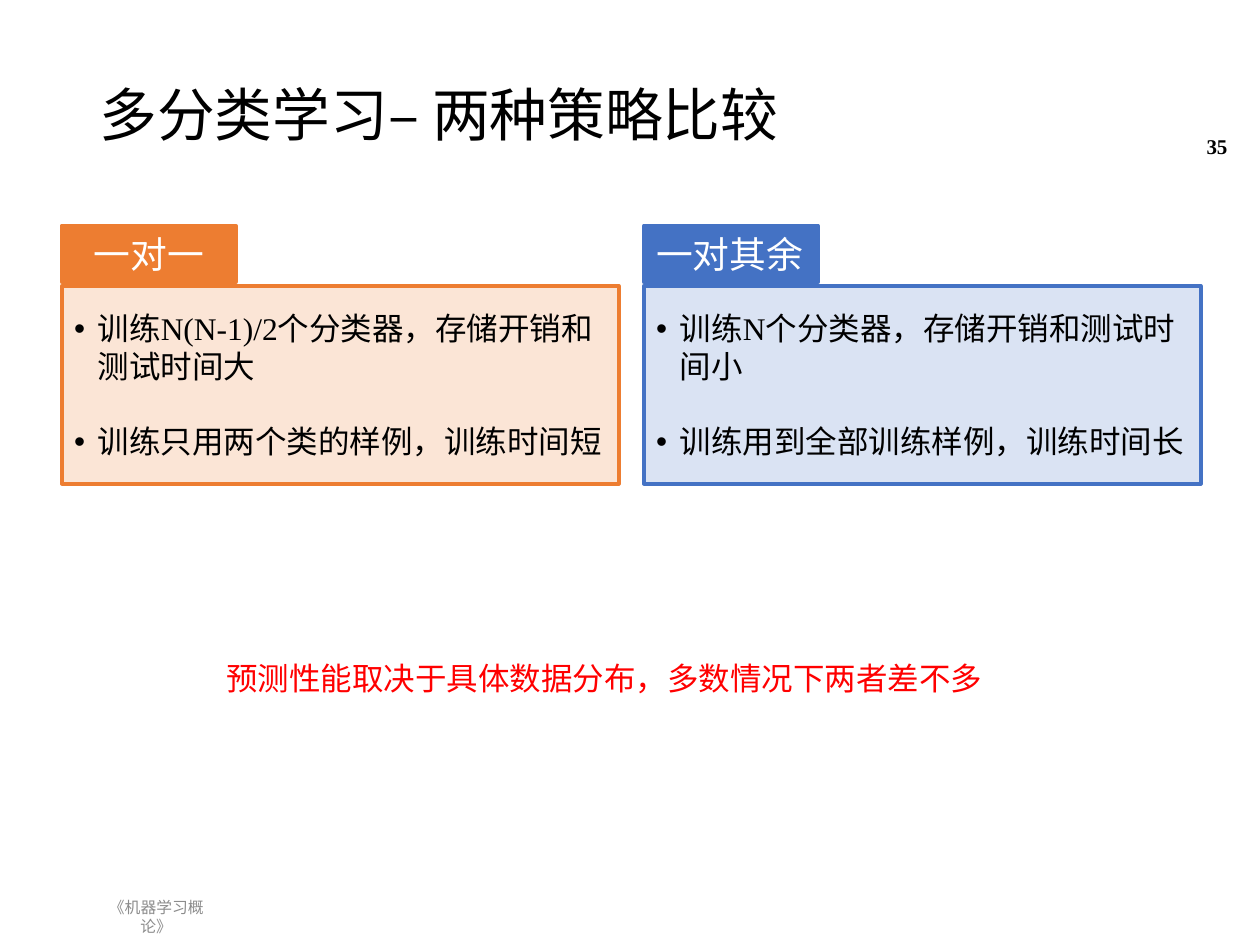
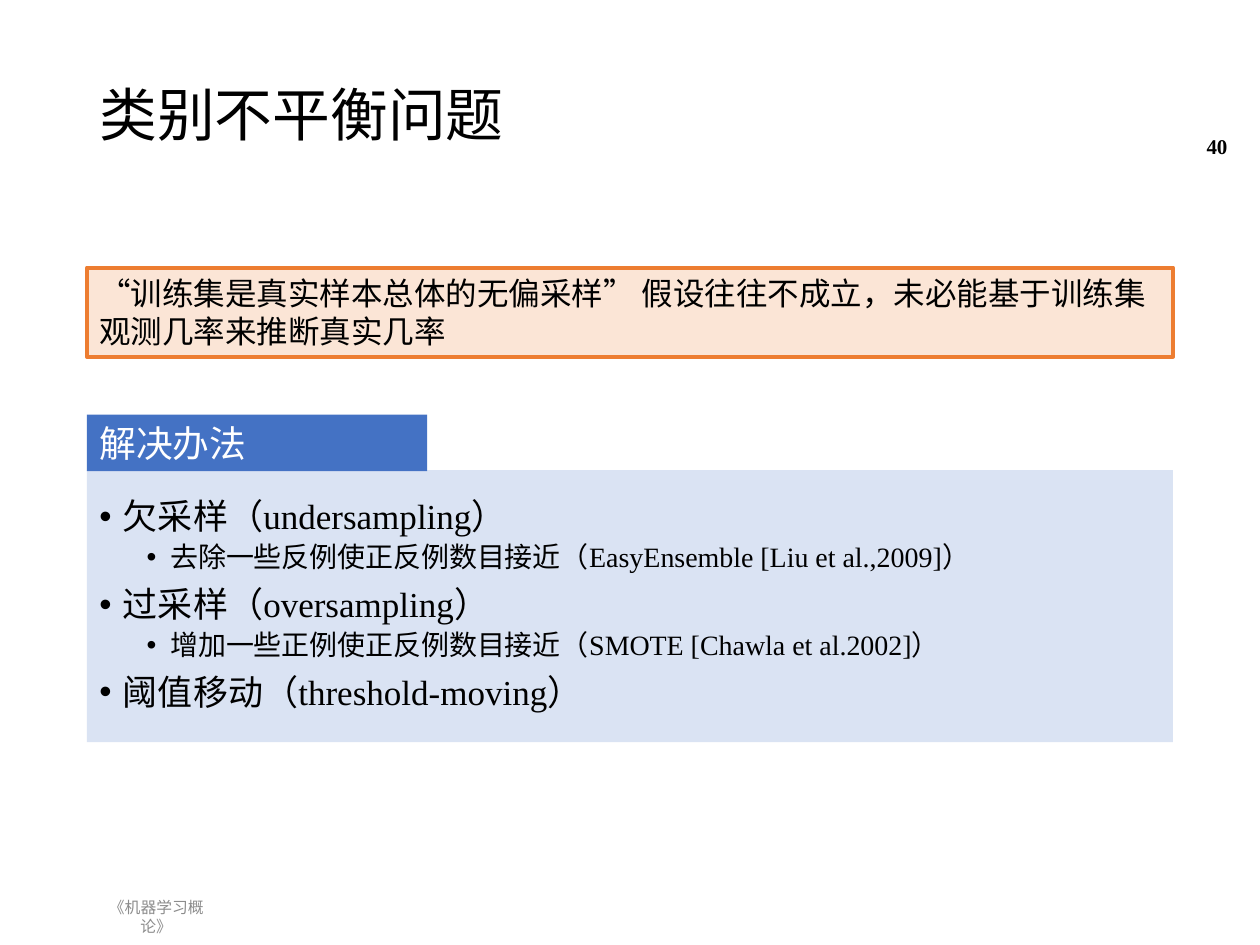
from lxml import etree
from pptx import Presentation
from pptx.dml.color import RGBColor
from pptx.enum import shapes, text
from pptx.oxml.ns import qn
from pptx.util import Pt

BLACK = RGBColor(0x00, 0x00, 0x00)
WHITE = RGBColor(0xFF, 0xFF, 0xFF)
GREY = RGBColor(0x8C, 0x8C, 0x8C)
RED = RGBColor(0xFF, 0x00, 0x00)
ORANGE = RGBColor(0xED, 0x7D, 0x31)
PEACH = RGBColor(0xFB, 0xE5, 0xD6)
BLUE = RGBColor(0x44, 0x72, 0xC4)
PALE = RGBColor(0xDA, 0xE3, 0xF3)
LATIN, HAN = "Times New Roman", "Noto Sans CJK SC"
LEFT, MID, RIGHT = text.PP_ALIGN.LEFT, text.PP_ALIGN.CENTER, text.PP_ALIGN.RIGHT
TOP, CENTER = text.MSO_ANCHOR.TOP, text.MSO_ANCHOR.MIDDLE
EDGE, WIDE = 49.7, 620.6
HANG = 13.5


def write(par, words, size=18, color=BLACK, bold=False, font=LATIN,
          align=LEFT, lead=None, before=0, indent=None):
    """Add a run to a paragraph; an indent also gives it a bullet."""
    par.alignment = align
    par.space_before = Pt(before)
    if lead:
        par.line_spacing = lead
    run = par.add_run()
    run.text = words
    face = run.font
    face.size, face.bold, face.name = Pt(size), bold, font
    face.color.rgb = color
    props = run._r.get_or_add_rPr()
    props.set("lang", "zh-CN")
    etree.SubElement(props, qn("a:ea")).set("typeface", HAN)
    if indent is not None:
        props = par._p.get_or_add_pPr()
        props.set("marL", str(Pt(indent)))
        props.set("indent", str(-Pt(HANG)))
        etree.SubElement(props, qn("a:buFont")).set("typeface", "Arial")
        etree.SubElement(props, qn("a:buChar")).set("char", "•")


class Deck:
    """Holds the shared style and the current slide."""

    def __init__(self):
        self.show = Presentation()
        self.show.slide_width, self.show.slide_height = Pt(720), Pt(540)

    def page(self, title, number):
        self.slide = self.show.slides.add_slide(self.show.slide_layouts[6])
        head = self.label(title[0], (EDGE, 28.8, WIDE, 77), CENTER,
                          size=33, lead=0.9)
        for words, font in title[1:]:
            write(head.paragraphs[0], words, size=33, lead=0.9, font=font)
        self.label("《机器学习概论》", (EDGE, 513.4, 79.2, 20.9), CENTER,
                   size=9, color=GREY, align=MID)
        self.label(number, (658.8, 69.1, 49.7, 28.8), CENTER,
                   size=12, bold=True, align=RIGHT)

    def frame(self, shape, anchor, wrap=True):
        frame = shape.text_frame
        frame.word_wrap, frame.vertical_anchor = wrap, anchor
        return frame

    def label(self, words, area, anchor=TOP, **form):
        shape = self.slide.shapes.add_textbox(*map(Pt, area))
        frame = self.frame(shape, anchor)
        write(frame.paragraphs[0], words, **form)
        return frame

    def box(self, area, fill, line=None, anchor=TOP, wrap=True):
        shape = self.slide.shapes.add_shape(
            shapes.MSO_SHAPE.RECTANGLE, *map(Pt, area))
        shape.shadow.inherit = False
        shape.fill.solid()
        shape.fill.fore_color.rgb = fill
        if line is None:
            shape.line.fill.background()
        else:
            shape.line.color.rgb = line
            shape.line.width = Pt(2.25)
        return self.frame(shape, anchor, wrap)

    def tab(self, words, area, fill, line=None, wrap=True, align=LEFT):
        frame = self.box(area, fill, line, wrap=wrap)
        write(frame.paragraphs[0], words, size=21, color=WHITE, align=align)

    def bullets(self, items, area, fill, line=None):
        """Fill a box with (words, format) pairs."""
        frame = self.box(area, fill, line, CENTER)
        for i, (words, form) in enumerate(items):
            par = frame.add_paragraph() if i else frame.paragraphs[0]
            write(par, words, **form)

    def card(self, left, name, points, dark, light, align):
        self.tab(name, (left, 128.9, 99.4, 32.4), dark, dark, False, align)
        items = [(words, dict(indent=HANG, before=21.5 if i else 0))
                 for i, words in enumerate(points)]
        self.bullets(items, (left, 163.4, 318.2, 113), light, dark)


def compare(deck):
    deck.page(["多分类学习", ("– ", HAN), ("两种策略比较", LATIN)], "35")
    deck.card(35.3, "一对一",
              ["训练N(N-1)/2个分类器，存储开销和测试时间大",
               "训练只用两个类的样例，训练时间短"], ORANGE, PEACH, MID)
    deck.card(367.9, "一对其余",
              ["训练N个分类器，存储开销和测试时间小",
               "训练用到全部训练样例，训练时间长"], BLUE, PALE, LEFT)
    deck.label("预测性能取决于具体数据分布，多数情况下两者差不多",
               (112.3, 373, 465.8, 28.8), color=RED, align=MID)


def balance(deck):
    deck.page(["类别不平衡问题"], "40")
    main = dict(size=20, lead=0.9, before=7.5, indent=HANG)
    sub = dict(size=16, lead=0.9, before=3.8, indent=3 * HANG)
    deck.bullets([
        ("欠采样（undersampling）", main),
        ("去除一些反例使正反例数目接近（EasyEnsemble [Liu et al.,2009]）", sub),
        ("过采样（oversampling）", main),
        ("增加一些正例使正反例数目接近（SMOTE [Chawla et al.2002]）", sub),
        ("阈值移动（threshold-moving）", main),
    ], (EDGE, 268.6, WIDE, 155.5), PALE)
    note = deck.box((EDGE, 152.9, WIDE, 51), PEACH, ORANGE)
    write(note.paragraphs[0], "“训练集是真实样本总体的无偏采样” 假设往往不成立，"
          "未必能基于训练集观测几率来推断真实几率")
    deck.tab("解决办法", (EDGE, 236.9, 194.4, 32.4), BLUE)


def main():
    deck = Deck()
    compare(deck)
    balance(deck)
    deck.show.save("out.pptx")


if __name__ == "__main__":
    main()
